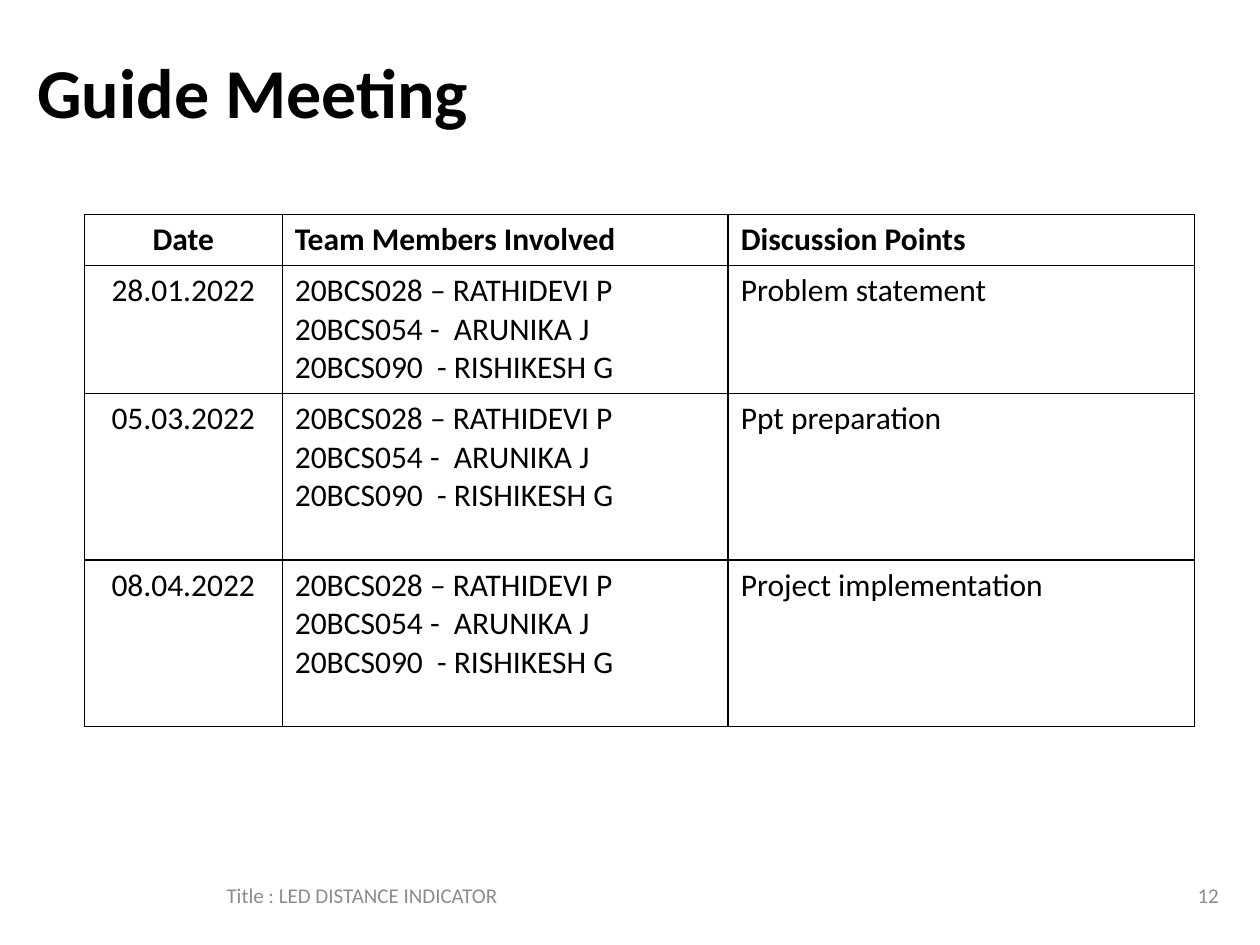
import pptx
import pptx.util
import pptx.dml.color
import pptx.enum.text
import lxml.etree
from pptx.util import Cm

BLACK = pptx.dml.color.RGBColor(0x00, 0x00, 0x00)
WHITE = pptx.dml.color.RGBColor(0xFF, 0xFF, 0xFF)
GREY = pptx.dml.color.RGBColor(0x8C, 0x8C, 0x8C)
ALIGN = pptx.enum.text.PP_ALIGN
MIDDLE = pptx.enum.text.MSO_ANCHOR.MIDDLE

MEMBERS = "20BCS028 – RATHIDEVI P\n20BCS054 -  ARUNIKA J\n20BCS090  - RISHIKESH G"
MEETINGS = [
    ("Date", "Team Members Involved", "Discussion Points"),
    ("28.01.2022", MEMBERS, "Problem statement"),
    ("05.03.2022", MEMBERS, "Ppt preparation"),
    ("08.04.2022", MEMBERS, "Project implementation"),
]
COLUMN_WIDTHS = [3.99, 8.99, 9.4]
ROW_HEIGHTS = [1.03, 2.58, 3.36, 3.36]


def format_text(frame, size, color, align, bold=False):
    for para in frame.paragraphs:
        para.alignment = align
        para.font.name = "Calibri"
        para.font.size = pptx.util.Pt(size)
        para.font.bold = bold
        para.font.color.rgb = color


def add_borders(cell):
    """Draw a thin black line on all four sides; lines must precede the fill."""
    properties = cell._tc.get_or_add_tcPr()
    for position, side in enumerate(("lnL", "lnR", "lnT", "lnB")):
        line = properties.makeelement(pptx.oxml.ns.qn(f"a:{side}"), {"w": "12700"})
        fill = lxml.etree.SubElement(line, pptx.oxml.ns.qn("a:solidFill"))
        lxml.etree.SubElement(fill, pptx.oxml.ns.qn("a:srgbClr"), val=str(BLACK))
        properties.insert(position, line)


deck = pptx.Presentation()
deck.slide_width, deck.slide_height = Cm(25.4), Cm(19.05)
page = deck.slides.add_slide(deck.slide_layouts[5])

title = page.shapes.title
title.left, title.top, title.width, title.height = Cm(0.5), Cm(0.53), Cm(22.86), Cm(2.6)
title.text_frame.text = "Guide Meeting"
title.text_frame.vertical_anchor = MIDDLE
format_text(title.text_frame, 40, BLACK, ALIGN.LEFT, bold=True)

table = page.shapes.add_table(
    len(MEETINGS), len(COLUMN_WIDTHS), Cm(1.7), Cm(4.32),
    Cm(sum(COLUMN_WIDTHS)), Cm(sum(ROW_HEIGHTS)),
).table
for column, width in zip(table.columns, COLUMN_WIDTHS):
    column.width = Cm(width)
for row, height in zip(table.rows, ROW_HEIGHTS):
    row.height = Cm(height)

for row_index, meeting in enumerate(MEETINGS):
    for column_index, text in enumerate(meeting):
        cell = table.cell(row_index, column_index)
        cell.text = text
        cell.fill.solid()
        cell.fill.fore_color.rgb = WHITE
        add_borders(cell)
        align = ALIGN.CENTER if column_index == 0 else ALIGN.LEFT
        format_text(cell.text_frame, 18, BLACK, align, bold=row_index == 0)

for text, left, width, align in [
    ("Title : LED DISTANCE INDICATOR", 0.5, 13.6, ALIGN.CENTER),
    ("12", 18.9, 5.92, ALIGN.RIGHT),
]:
    box = page.shapes.add_textbox(Cm(left), Cm(17.53), Cm(width), Cm(1.02))
    box.text_frame.word_wrap = True
    box.text_frame.text = text
    box.text_frame.vertical_anchor = MIDDLE
    format_text(box.text_frame, 12, GREY, align)

deck.save("out.pptx")
